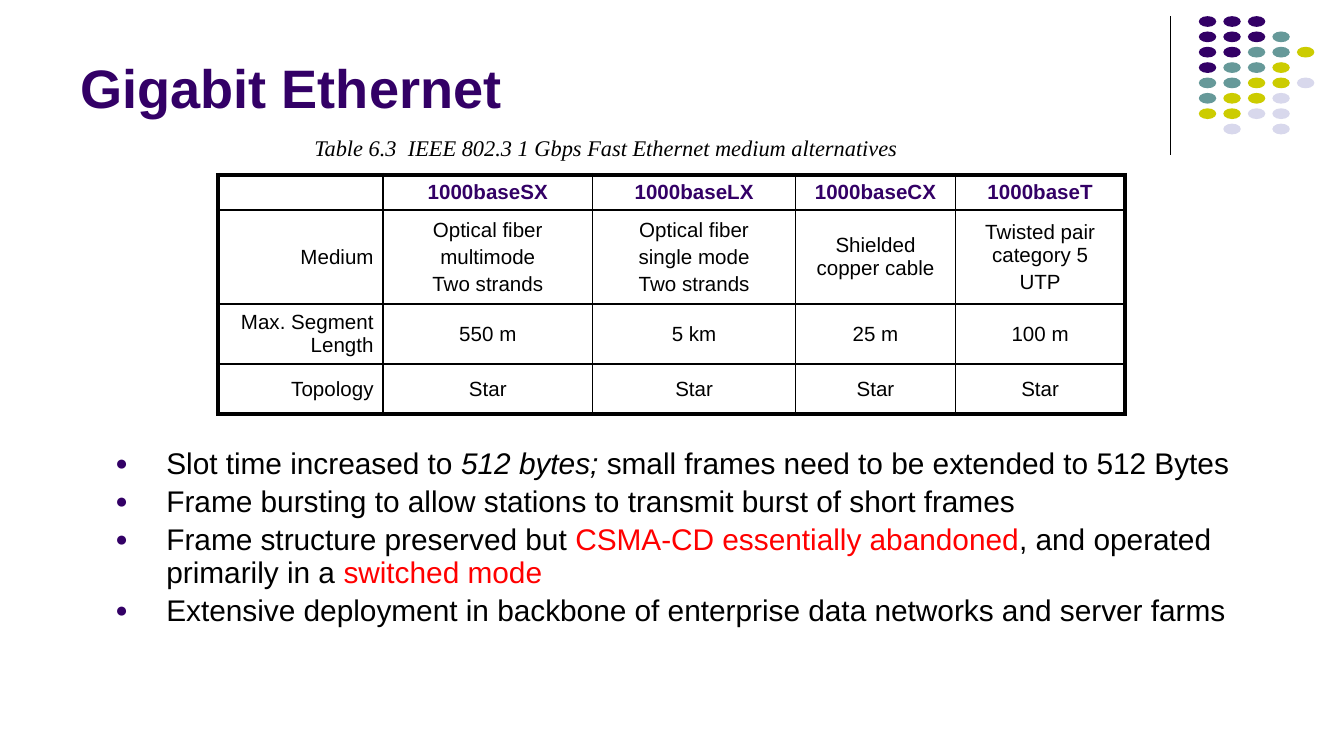
import lxml.etree
import pptx
import pptx.dml.color
import pptx.enum.shapes
import pptx.enum.text
import pptx.oxml.ns
import pptx.util

Inches = pptx.util.Inches
Pt = pptx.util.Pt
RGBColor = pptx.dml.color.RGBColor
Align = pptx.enum.text.PP_ALIGN
Anchor = pptx.enum.text.MSO_ANCHOR
qn = pptx.oxml.ns.qn

PURPLE = RGBColor(0x33, 0x00, 0x66)
TEAL = RGBColor(0x66, 0x99, 0x99)
OLIVE = RGBColor(0xCC, 0xCC, 0x00)
LAVENDER = RGBColor(0xD8, 0xD8, 0xEC)
BLACK = RGBColor(0x00, 0x00, 0x00)
RED = RGBColor(0xFF, 0x00, 0x00)

DOT_COLORS = {"P": PURPLE, "T": TEAL, "O": OLIVE, "L": LAVENDER}
DOT_ROWS = ["PPP", "PPPT", "PPTTO", "PTTO", "TTOOL", "TOOL", "OOLL", " L L"]

COLUMN_WIDTHS = [1.23, 1.56, 1.51, 1.19, 1.26]
ROW_HEIGHTS = [0.25, 0.7, 0.44, 0.37]
MEDIUM_TABLE = [
    ["", "1000baseSX", "1000baseLX", "1000baseCX", "1000baseT"],
    ["Medium", "Optical fiber\nmultimode\nTwo strands",
     "Optical fiber\nsingle mode\nTwo strands",
     "Shielded copper cable", "Twisted pair category 5\nUTP"],
    ["Max. Segment Length", "550 m", "5 km", "25 m", "100 m"],
    ["Topology"] + ["Star"] * 4,
]

BULLETS = [
    [("Slot time increased to ", {}), ("512 bytes; ", {"italic": True}),
     ("small frames need to be extended to 512 Bytes", {})],
    [("Frame bursting to allow stations to transmit burst of short frames", {})],
    [("Frame structure preserved but ", {}),
     ("CSMA-CD essentially abandoned", {"color": RED}),
     (", and operated primarily in a ", {}), ("switched mode", {"color": RED})],
    [("Extensive deployment in backbone of enterprise data networks and server farms", {})],
]


def write_text(paragraph, text, *, size, font="Arial", color=BLACK, bold=False, italic=False):
    run = paragraph.add_run()
    run.text = text
    run.font.name = font
    run.font.size = Pt(size)
    run.font.color.rgb = color
    run.font.bold = bold
    run.font.italic = italic


class SlideBuilder:
    def __init__(self, slide, accent):
        self.slide = slide
        self.accent = accent

    def line(self, x, top, bottom):
        connector = self.slide.shapes.add_connector(
            pptx.enum.shapes.MSO_CONNECTOR.STRAIGHT,
            Inches(x), Inches(top), Inches(x), Inches(bottom))
        connector.line.color.rgb = BLACK
        connector.line.width = Pt(0.75)
        lxml.etree.SubElement(connector._element.spPr, qn("a:effectLst"))

    def dot(self, left, top, color):
        shape = self.slide.shapes.add_shape(
            pptx.enum.shapes.MSO_SHAPE.OVAL,
            Inches(left), Inches(top), Inches(0.13), Inches(0.08))
        shape.shadow.inherit = False
        shape.fill.solid()
        shape.fill.fore_color.rgb = color
        shape.line.fill.background()

    def text_box(self, left, top, width, height, anchor=Anchor.TOP, wrap=True):
        shape = self.slide.shapes.add_textbox(
            Inches(left), Inches(top), Inches(width), Inches(height))
        frame = shape.text_frame
        frame.word_wrap = wrap
        frame.vertical_anchor = anchor
        return frame

    def label(self, text, left, top, width, height, anchor, wrap=True, **style):
        frame = self.text_box(left, top, width, height, anchor, wrap)
        write_text(frame.paragraphs[0], text, **style)

    def bullet_list(self, items, left, top, width, height, size):
        frame = self.text_box(left, top, width, height)
        for index, pieces in enumerate(items):
            paragraph = frame.add_paragraph() if index else frame.paragraphs[0]
            self.bullet(paragraph)
            paragraph.line_spacing = 0.9
            if index:
                paragraph.space_before = Pt(0.2 * size)
            for text, style in pieces:
                write_text(paragraph, text, size=size, **style)

    def bullet(self, paragraph):
        properties = paragraph._p.get_or_add_pPr()
        properties.set("marL", str(Inches(0.38)))
        properties.set("indent", str(-Inches(0.38)))
        color = lxml.etree.SubElement(properties, qn("a:buClr"))
        lxml.etree.SubElement(color, qn("a:srgbClr"), val=str(self.accent))
        lxml.etree.SubElement(properties, qn("a:buSzPct"), val="70000")
        lxml.etree.SubElement(properties, qn("a:buFont"), typeface="Arial")
        lxml.etree.SubElement(properties, qn("a:buChar"), char="●")

    def table(self, rows, left, top, widths, heights, size):
        table = self.slide.shapes.add_table(
            len(rows), len(widths), Inches(left), Inches(top),
            Inches(sum(widths)), Inches(sum(heights))).table
        table.first_row = False
        table.horz_banding = False
        for column, width in zip(table.columns, widths):
            column.width = Inches(width)
        for row, height in zip(table.rows, heights):
            row.height = Inches(height)
        for r, texts in enumerate(rows):
            for c, text in enumerate(texts):
                cell = table.cell(r, c)
                outer = {"L": c == 0, "R": c == len(widths) - 1,
                         "T": r == 0, "B": r == len(rows) - 1}
                self.borders(cell, outer)
                self.cell_text(cell, text, size, header=r == 0,
                               alignment=Align.CENTER if c else Align.RIGHT)

    def borders(self, cell, outer):
        properties = cell._tc.get_or_add_tcPr()
        for side, is_outer in outer.items():
            line = lxml.etree.SubElement(properties, qn("a:ln" + side),
                                         w=str(Pt(2.25 if is_outer else 1)))
            fill = lxml.etree.SubElement(line, qn("a:solidFill"))
            lxml.etree.SubElement(fill, qn("a:srgbClr"), val=str(BLACK))
        cell.fill.background()

    def cell_text(self, cell, text, size, header, alignment):
        cell.vertical_anchor = Anchor.MIDDLE
        cell.margin_left = cell.margin_right = Inches(0.07)
        cell.margin_top = cell.margin_bottom = Inches(0.04)
        frame = cell.text_frame
        if not text:
            frame.paragraphs[0].font.size = Pt(size)
            return
        for index, line in enumerate(text.split("\n")):
            paragraph = frame.add_paragraph() if index else frame.paragraphs[0]
            paragraph.alignment = alignment
            if index:
                paragraph.space_before = Pt(0.2 * size)
            write_text(paragraph, line, size=size, bold=header,
                       color=self.accent if header else BLACK)


def main():
    presentation = pptx.Presentation()
    presentation.slide_width = Inches(10)
    presentation.slide_height = presentation.slide_width * 9 // 16
    slide = presentation.slides.add_slide(presentation.slide_layouts[6])
    builder = SlideBuilder(slide, PURPLE)

    builder.line(8.71, 0.12, 1.15)
    for row, dots in enumerate(DOT_ROWS):
        for column, key in enumerate(dots):
            if key in DOT_COLORS:
                builder.dot(8.92 + column * 0.73 / 4, 0.12 + row * 0.8 / 7, DOT_COLORS[key])

    builder.label("Gigabit Ethernet", 0.5, 0.1, 8.25, 0.84, Anchor.BOTTOM,
                  size=29, color=PURPLE, bold=True)
    builder.label("Table 6.3  IEEE 802.3 1 Gbps Fast Ethernet medium alternatives",
                  2.24, 0.95, 4.6, 0.3, Anchor.MIDDLE, wrap=False,
                  size=12, font="Times New Roman", italic=True)
    builder.table(MEDIUM_TABLE, 1.62, 1.3, COLUMN_WIDTHS, ROW_HEIGHTS, size=11)
    builder.bullet_list(BULLETS, 0.76, 3.29, 8.67, 1.6, size=16)
    presentation.save("out.pptx")


if __name__ == "__main__":
    main()
